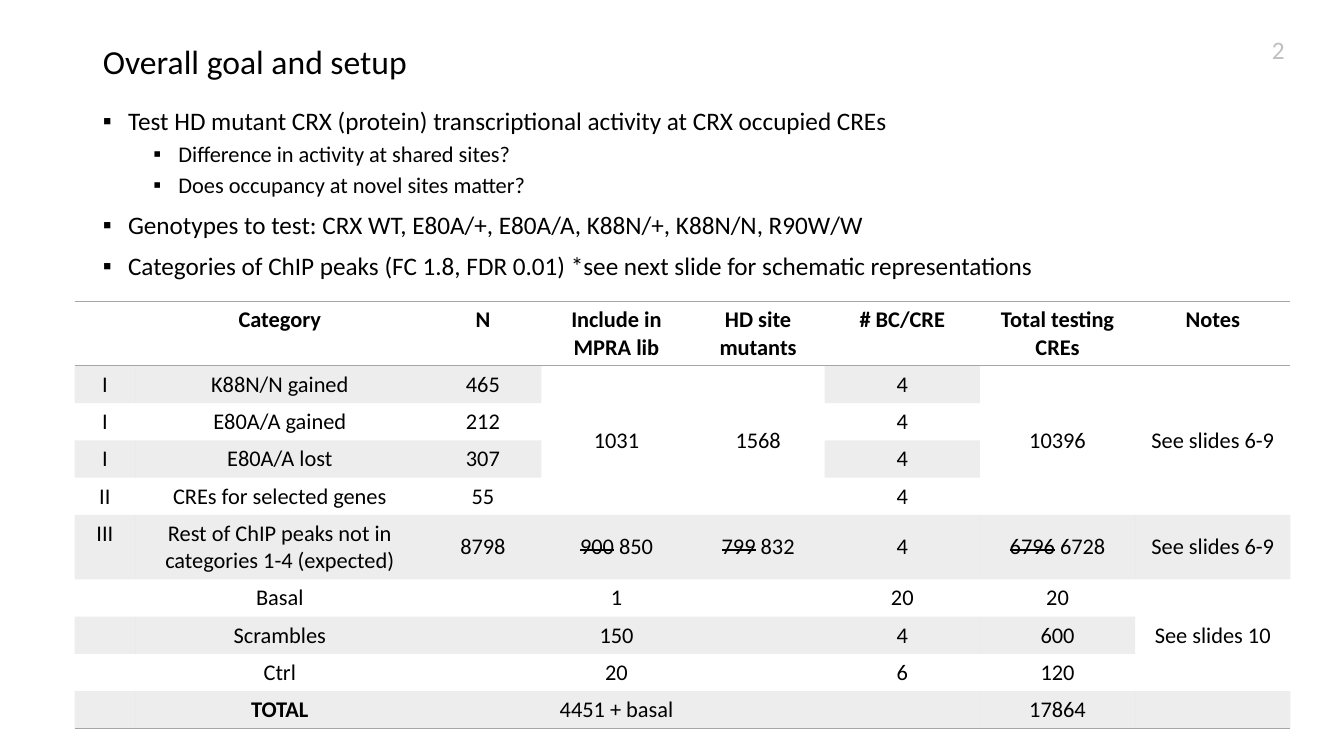
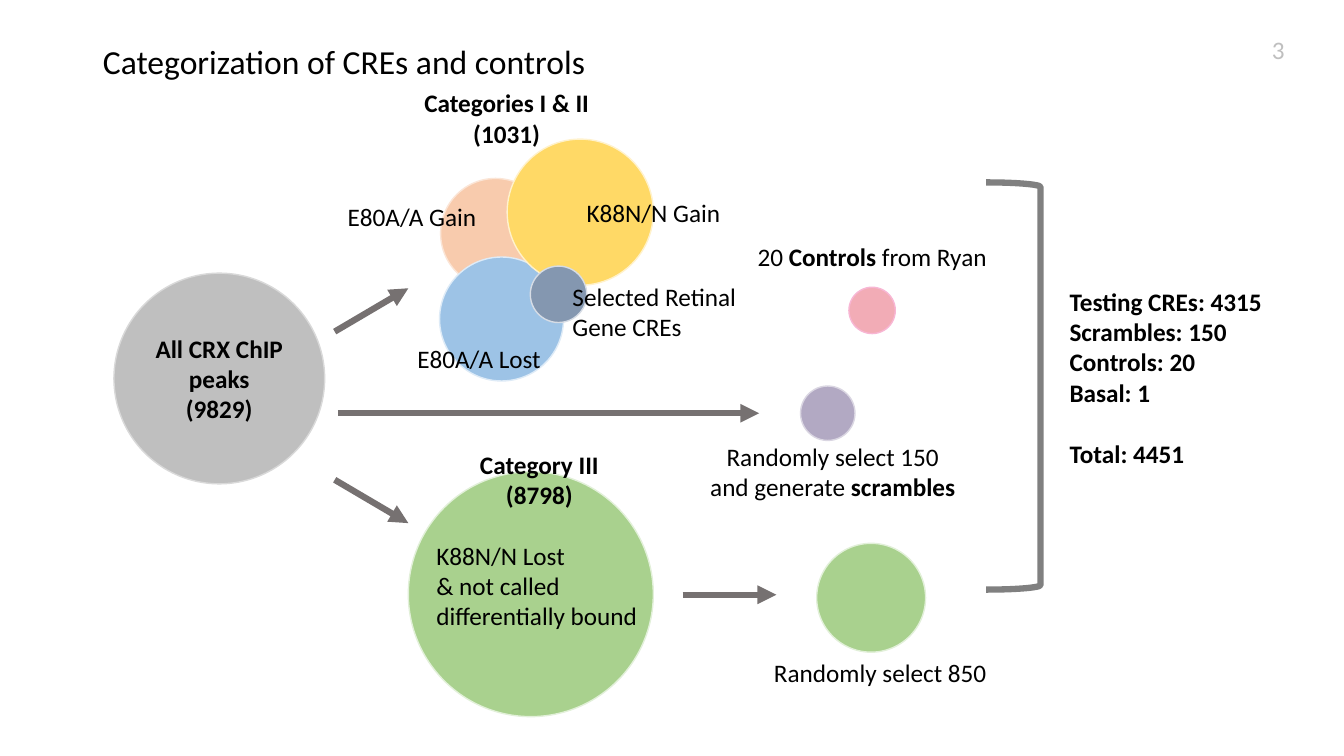
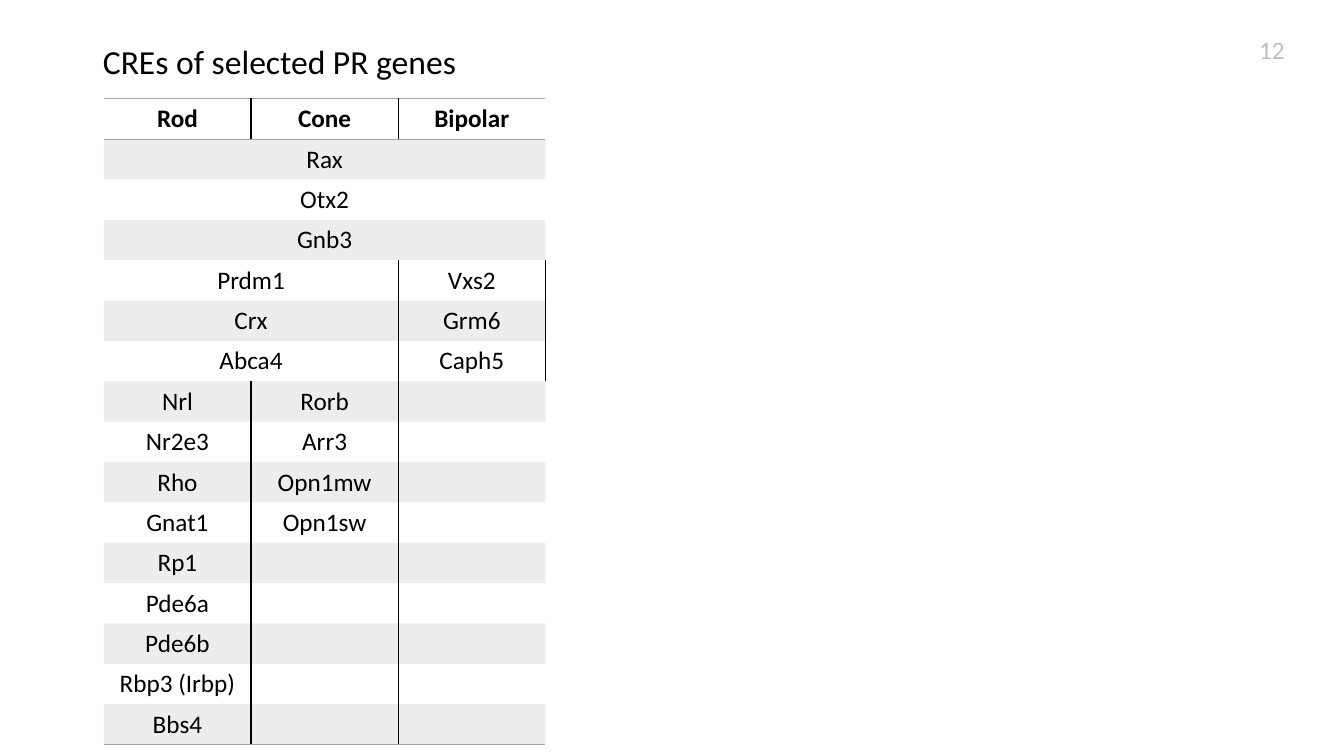
from dataclasses import dataclass

from lxml import etree
from pptx import Presentation
from pptx.dml.color import RGBColor
from pptx.enum.shapes import MSO_CONNECTOR as Connector, MSO_SHAPE as Shape
from pptx.enum.text import MSO_ANCHOR as Anchor, MSO_AUTO_SIZE as AutoSize, PP_ALIGN as Align
from pptx.oxml.ns import qn
from pptx.util import Inches, Pt


@dataclass(frozen=True)
class Theme:
    font: str = "Calibri"
    text: str = "000000"
    number: str = "BFBFBF"
    rule: str = "A5A5A5"
    band_alpha: str = "20000"
    arrow: str = "767171"
    bracket: str = "808080"
    title_size: Pt = Pt(24)
    body_size: Pt = Pt(18)
    small_size: Pt = Pt(16)
    thin: Pt = Pt(1)
    thick: Pt = Pt(4.5)


theme = Theme()
NO_GRID_STYLE = "{2D5ABB26-0587-4C30-8999-92F81FD0307C}"


def write(frame, lines, color=theme.text, align=Align.LEFT, **values):
    """Fill a text frame; a line is a string or a list of (text, format values)."""
    base = {"name": theme.font, "size": theme.body_size, "bold": False, **values}
    for index, line in enumerate(lines):
        paragraph = frame.add_paragraph() if index else frame.paragraphs[0]
        paragraph.alignment = align
        if not line:
            etree.SubElement(paragraph._p, qn("a:endParaRPr"), sz=str(base["size"].centipoints))
            continue
        for text, marks in [(line, {})] if isinstance(line, str) else line:
            run = paragraph.add_run()
            run.text = text
            run.font.color.rgb = RGBColor.from_string(color)
            for name, value in {**base, **marks}.items():
                if name == "strike":
                    run._r.get_or_add_rPr().set(name, value)
                else:
                    setattr(run.font, name, value)


def add_grid(slide, left, top, widths, heights, rows, merges, size, column_rules):
    """Add a table with a ruled header, banded rows and merged cells."""
    frame = slide.shapes.add_table(
        len(rows), len(widths), Inches(left), Inches(top), Inches(sum(widths)), Inches(sum(heights)))
    next(frame._element.iter(qn("a:tableStyleId"))).text = NO_GRID_STYLE
    table = frame.table
    table.horz_banding = False
    for column, width in zip(table.columns, widths):
        column.width = Inches(width)
    for row, height in zip(table.rows, heights):
        row.height = Inches(height)
    for first_row, first_column, last_row, last_column in merges:
        table.cell(first_row, first_column).merge(table.cell(last_row, last_column))

    for row, texts in enumerate(rows):
        for column in range(len(widths)):
            cell = table.cell(row, column)
            text = texts[column] if column < len(texts) else ""
            write(cell.text_frame, [text], align=Align.CENTER, size=size, bold=row == 0)
            cell.vertical_anchor = Anchor.MIDDLE if row and column > 1 else Anchor.TOP

            # Borders come before the fill in the cell properties
            borders = {
                "a:lnL": theme.text if column_rules and column and not cell.is_spanned else None,
                "a:lnT": theme.rule if row == 0 else None,
                "a:lnB": theme.rule if row in (0, len(rows) - 1) else None,
            }
            properties = cell._tc.get_or_add_tcPr()
            for tag, color in borders.items():
                if color:
                    line = etree.SubElement(properties, qn(tag), w=str(theme.thin))
                    solid = etree.SubElement(line, qn("a:solidFill"))
                    etree.SubElement(solid, qn("a:srgbClr"), val=color)

            if row % 2 and not cell.is_spanned and cell.span_height == 1:
                cell.fill.solid()
                cell.fill.fore_color.rgb = RGBColor.from_string(theme.rule)
                shade = properties.find(qn("a:solidFill"))[0]
                etree.SubElement(shade, qn("a:alpha"), val=theme.band_alpha)
            else:
                cell.fill.background()


presentation = Presentation()
presentation.slide_width, presentation.slide_height = Inches(13.33), Inches(7.5)

# Titles and slide numbers
TITLE_AND_BODY, TITLE_ONLY = 1, 5
slides = []
for number, layout, title in [
    ("2", TITLE_AND_BODY, "Overall goal and setup"),
    ("3", TITLE_ONLY, "Categorization of CREs and controls"),
    ("12", TITLE_ONLY, "CREs of selected PR genes"),
]:
    slide = presentation.slides.add_slide(presentation.slide_layouts[layout])
    heading = slide.shapes.title
    heading.left, heading.top, heading.width, heading.height = map(Inches, (0.92, 0.4, 11.5, 1.45))
    heading.text_frame.vertical_anchor = Anchor.TOP
    heading.text_frame.auto_size = AutoSize.NONE
    write(heading.text_frame, [title], size=theme.title_size)
    heading.text_frame.paragraphs[0].line_spacing = 0.9
    number_box = slide.shapes.add_textbox(*map(Inches, (11.37, 0.29, 1.47, 0.41)))
    number_box.text_frame.word_wrap = True
    write(number_box.text_frame, [number], color=theme.number, align=Align.RIGHT)
    slides.append(slide)
goal_slide, category_slide, gene_slide = slides

# Goal slide: bullets
goals = [
    (0, "Test HD mutant CRX (protein) transcriptional activity at CRX occupied CREs"),
    (1, "Difference in activity at shared sites?"),
    (1, "Does occupancy at novel sites matter?"),
    (0, "Genotypes to test: CRX WT, E80A/+, E80A/A, K88N/+, K88N/N, R90W/W"),
    (0, "Categories of ChIP peaks (FC 1.8, FDR 0.01) *see next slide for schematic representations"),
]
level_sizes = (theme.body_size, theme.small_size)
body = goal_slide.placeholders[1]
body.left, body.top, body.width, body.height = map(Inches, (0.92, 1.03, 11.5, 4.76))
body.text_frame.auto_size = AutoSize.NONE
write(body.text_frame, [[(text, {"size": level_sizes[level]})] for level, text in goals])
for paragraph, (level, text) in zip(body.text_frame.paragraphs, goals):
    for name, value in {"level": level, "line_spacing": 0.9, "space_before": Pt(5 if level else 10)}.items():
        setattr(paragraph, name, value)
    properties = paragraph._p.get_or_add_pPr()
    properties.set("marL", str(Inches(0.25 + 0.5 * level)))
    properties.set("indent", str(Inches(-0.25)))
    etree.SubElement(properties, qn("a:buFont"), typeface="Arial")
    etree.SubElement(properties, qn("a:buChar"), char="▪")

# Goal slide: library table
struck = {"strike": "sngStrike"}
library_rows = [
    ["", "Category", "N", "Include in MPRA lib", "HD site mutants", "# BC/CRE", "Total testing CREs", "Notes"],
    ["I", "K88N/N gained", "465", "1031", "1568", "4", "10396", "See slides 6-9"],
    ["I", "E80A/A gained", "212", "", "", "4"],
    ["I", "E80A/A lost", "307", "", "", "4"],
    ["II", "CREs for selected genes", "55", "", "", "4"],
    ["III", "Rest of ChIP peaks not in categories 1-4 (expected)", "8798",
     [("900", struck), (" 850", {})], [("799", struck), (" 832", {})], "4",
     [("6796", struck), (" 6728", {})], "See slides 6-9"],
    ["", "Basal", "", "1", "", "20", "20", "See slides 10"],
    ["", "Scrambles", "", "150", "", "4", "600"],
    ["", "Ctrl", "", "20", "", "6", "120"],
    ["", [("TOTAL", {"bold": True})], "", "4451 + basal", "", "", "17864"],
]
add_grid(
    goal_slide, 0.74, 2.99,
    widths=[0.6, 2.87, 1.16, 1.49, 1.32, 1.54, 1.54, 1.54],
    heights=[0.64 if row in (0, 5) else 0.37 for row in range(len(library_rows))],
    rows=library_rows,
    merges=[(1, column, 4, column) for column in (3, 4, 6, 7)] + [(6, 7, 8, 7)],
    size=theme.small_size, column_rules=False)

# Category slide: circles as left, top, diameter, fill, outline, text
for left, top, diameter, fill, outline, lines in [
    (1.13, 2.71, 2.09, "BFBFBF", "D9D9D9", ["All CRX ChIP peaks", "(9829)"]),
    (4.37, 1.77, 1.09, "F8CBAD", "FBE5D6", []),
    (4.36, 2.55, 1.23, "9DC3E6", "DEEBF7", []),
    (5.03, 1.38, 1.45, "FFD966", "FFF2CC", []),
    (4.05, 4.68, 2.43, "A9D18E", "E2F0D9", []),
    (5.26, 2.64, 0.56, "8497B0", "D6DCE5", []),
    (8.1, 5.39, 1.08, "A9D18E", "E2F0D9", []),
    (7.94, 3.83, 0.54, "B2A9C3", "DAD6E2", []),
    (8.42, 2.85, 0.46, "F2ACB6", "F8B6D4", []),
]:
    circle = category_slide.shapes.add_shape(
        Shape.OVAL, *map(Inches, (left, top, diameter, diameter)))
    circle.shadow.inherit = False
    circle.fill.solid()
    circle.fill.fore_color.rgb = RGBColor.from_string(fill)
    circle.line.color.rgb = RGBColor.from_string(outline)
    circle.line.width = theme.thin
    circle.text_frame.margin_left = circle.text_frame.margin_right = Inches(0.05)
    write(circle.text_frame, lines, align=Align.CENTER, bold=True)

# Category slide: arrows
for ends in [
    (3.32, 3.29, 4.05, 2.86),
    (3.32, 4.76, 4.05, 5.19),
    (6.77, 5.9, 7.7, 5.9),
    (3.35, 4.1, 7.53, 4.1),
]:
    arrow = category_slide.shapes.add_connector(Connector.STRAIGHT, *map(Inches, ends))
    arrow.line.color.rgb = RGBColor.from_string(theme.arrow)
    arrow.line.width = theme.thick
    etree.SubElement(arrow.line._get_or_add_ln(), qn("a:tailEnd"), type="triangle")
    etree.SubElement(arrow._element.spPr, qn("a:effectLst"))

# Category slide: bracket
bracket = category_slide.shapes.add_shape(
    Shape.RIGHT_BRACKET, *map(Inches, (9.78, 1.81, 0.54, 4.04)))
bracket.shadow.inherit = False
bracket.fill.background()
bracket.line.color.rgb = RGBColor.from_string(theme.bracket)
bracket.line.width = theme.thick

# Category slide: labels as left, top, width, height, alignment, bold, lines
strong = {"bold": True}
for left, top, width, height, align, bold, lines in [
    (3.35, 1.95, 1.9, 0.4, Align.LEFT, False, ["E80A/A Gain"]),
    (4.04, 3.36, 1.45, 0.4, Align.LEFT, False, ["E80A/A Lost"]),
    (5.72, 1.91, 1.8, 0.4, Align.LEFT, False, ["K88N/N Gain"]),
    (4.23, 5.31, 2.4, 1.01, Align.LEFT, False, ["K88N/N Lost", "& not called differentially bound"]),
    (5.58, 2.74, 2, 0.71, Align.LEFT, False, ["Selected Retinal Gene CREs"]),
    (3.93, 0.82, 2.19, 0.71, Align.CENTER, True, ["Categories I & II (1031)"]),
    (4.35, 4.41, 2, 0.71, Align.CENTER, True, ["Category III (8798)"]),
    (7.53, 6.47, 2.4, 0.4, Align.CENTER, False, ["Randomly select 850"]),
    (6.91, 4.33, 2.7, 0.71, Align.CENTER, False,
     [[("Randomly select 150 and generate ", {}), ("scrambles", strong)]]),
    (7.3, 2.34, 2.7, 0.4, Align.CENTER, False,
     [[("20 ", {}), ("Controls", strong), (" from Ryan", {})]]),
    (10.51, 2.79, 2.45, 1.92, Align.LEFT, True,
     ["Testing CREs: 4315", "Scrambles: 150", "Controls: 20", "Basal: 1", "Total: 4451"]),
]:
    label = category_slide.shapes.add_textbox(*map(Inches, (left, top, width, height)))
    label.text_frame.word_wrap = True
    label.text_frame.auto_size = AutoSize.SHAPE_TO_FIT_TEXT
    write(label.text_frame, lines, align=align, bold=bold)
    if lines[-1] == "Total: 4451":
        label.text_frame.paragraphs[-1].space_before = Pt(22)

# Gene slide: table
gene_rows = [
    ["Rod", "Cone", "Bipolar"],
    ["Rax"],
    ["Otx2"],
    ["Gnb3"],
    ["Prdm1", "", "Vxs2"],
    ["Crx", "", "Grm6"],
    ["Abca4", "", "Caph5"],
    ["Nrl", "Rorb"],
    ["Nr2e3", "Arr3"],
    ["Rho", "Opn1mw"],
    ["Gnat1", "Opn1sw"],
    ["Rp1"],
    ["Pde6a"],
    ["Pde6b"],
    ["Rbp3 (Irbp)"],
    ["Bbs4"],
]
add_grid(
    gene_slide, 1.03, 0.98,
    widths=[1.46] * 3,
    heights=[0.4] * len(gene_rows),
    rows=gene_rows,
    merges=[(row, 0, row, 2 if row < 4 else 1) for row in range(1, 7)],
    size=theme.body_size, column_rules=True)

presentation.save("out.pptx")
